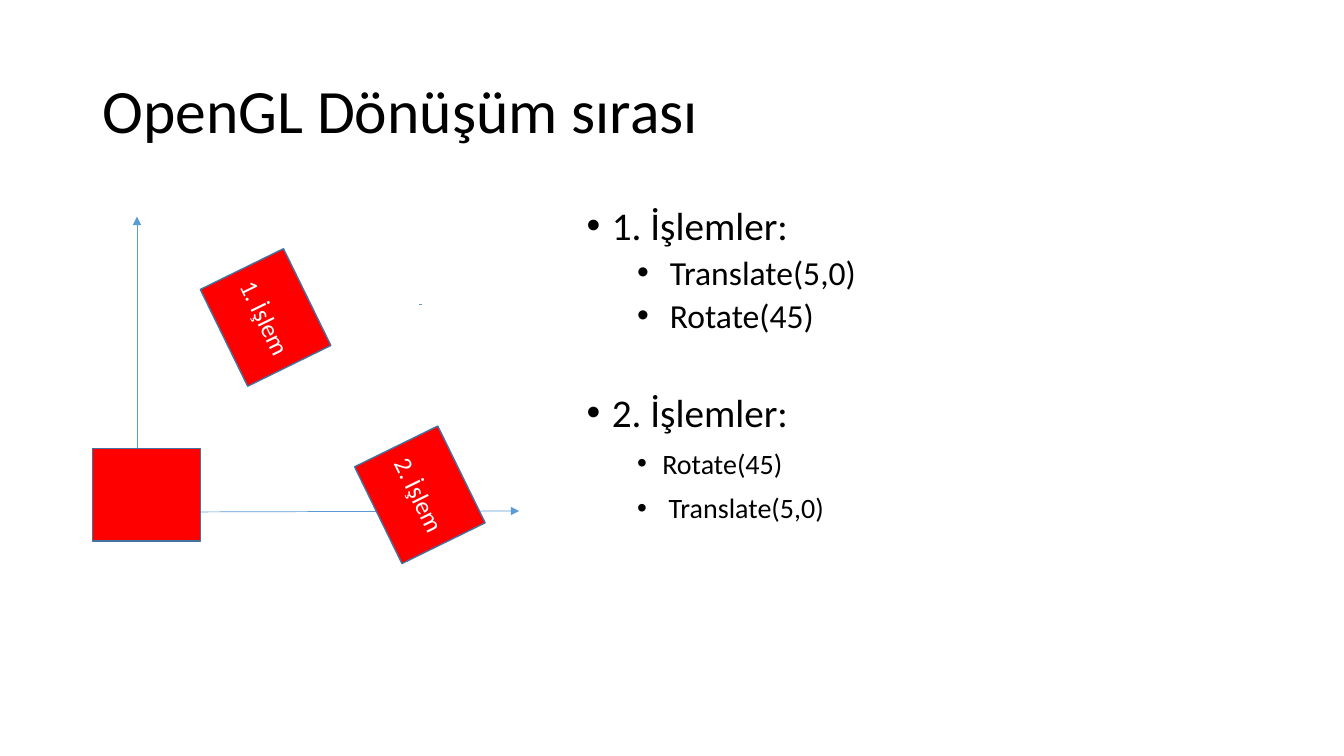
from lxml.etree import SubElement
from pptx import Presentation
from pptx.dml.color import RGBColor
from pptx.enum.dml import MSO_LINE
from pptx.enum.shapes import MSO_CONNECTOR, MSO_SHAPE
from pptx.enum.text import MSO_ANCHOR, MSO_AUTO_SIZE, PP_ALIGN
from pptx.oxml.ns import qn
from pptx.util import Pt


def color(value):
    return RGBColor.from_string(value)


def write(para, text, size, ink):
    span = para.add_run()
    span.text = text
    for name, value in {"name": "Calibri", "size": Pt(size)}.items():
        setattr(span.font, name, value)
    span.font.color.rgb = color(ink)


deck = Presentation()
deck.slide_width, deck.slide_height = Pt(960), Pt(540)
page = deck.slides.add_slide(deck.slide_layouts[1])
title, body = page.placeholders

# Placeholder positions
for box, place, anchor in (
    (title, (66, 28.8, 828, 104.4), MSO_ANCHOR.MIDDLE),
    (body, (411.84, 144, 482.4, 342.72), MSO_ANCHOR.TOP),
):
    for name, value in zip(("left", "top", "width", "height"), place):
        setattr(box, name, Pt(value))
    frame_format = {"word_wrap": True, "auto_size": MSO_AUTO_SIZE.NONE,
                    "vertical_anchor": anchor}
    for name, value in frame_format.items():
        setattr(box.text_frame, name, value)

# Title
para = title.text_frame.paragraphs[0]
para.alignment, para.line_spacing = PP_ALIGN.LEFT, 0.9
write(para, "OpenGL Dönüşüm sırası", 44, "000000")

# Operation lists: text, level, size, space before, left margin, hanging indent
items = [
    ("1. İşlemler:", 0, 28, 0, 18, 18),
    ("Translate(5,0)", 1, 24, 5, 59.4, 23.4),
    ("Rotate(45)", 1, 24, 5, 59.4, 23.4),
    ("2. İşlemler:", 0, 28, 41.4, 18, 18),
    ("Rotate(45)", 2, 20, 10, 54, 18),
    ("Translate(5,0)", 2, 20, 10, 58.5, 22.5),
]
for index, (text, level, size, before, margin, hanging) in enumerate(items):
    frame = body.text_frame
    para = frame.add_paragraph() if index else frame.paragraphs[0]
    properties = para._p.get_or_add_pPr()
    properties.set("marL", str(Pt(margin)))
    properties.set("indent", str(-Pt(hanging)))
    SubElement(properties, qn("a:buFont"), typeface="Arial")
    SubElement(properties, qn("a:buChar"), char="•")
    para_format = {"level": level, "line_spacing": 0.9,
                   "space_before": Pt(before), "alignment": PP_ALIGN.LEFT}
    for name, value in para_format.items():
        setattr(para, name, value)
    write(para, text, size, "000000")

# Axes and the dotted mark
for ends, width, dash, arrow in (
    ((97.9, 365.8, 370.8, 365), 0.5, None, True),
    ((97.9, 365, 97.9, 154.8), 0.5, None, True),
    ((300.2, 217.4, 300.2, 218.2), 2.25, MSO_LINE.ROUND_DOT, False),
):
    axis = page.shapes.add_connector(MSO_CONNECTOR.STRAIGHT, *map(Pt, ends))
    axis.line.color.rgb = color("5B9BD5")
    axis.line.width = Pt(width)
    axis.line.dash_style = dash
    if arrow:
        SubElement(axis.line._get_or_add_ln(), qn("a:tailEnd"), type="triangle")
    SubElement(axis._element.spPr, qn("a:effectLst"))

# Start square and its two results
for left, top, turn, label in (
    (66.2, 320.4, 0, ""),
    (261.4, 320.4, 63.9, "2. İşlem"),
    (151.2, 193.7, 63.9, "1. İşlem"),
):
    square = page.shapes.add_shape(
        MSO_SHAPE.RECTANGLE, Pt(left), Pt(top), Pt(77), Pt(66.2))
    square.rotation = turn
    square.shadow.inherit = False
    square.fill.solid()
    square.fill.fore_color.rgb = color("FF0000")
    square.line.color.rgb = color("43739E")
    square.line.width = Pt(1)
    if label:
        square.text_frame.vertical_anchor = MSO_ANCHOR.MIDDLE
        para = square.text_frame.paragraphs[0]
        para.alignment = PP_ALIGN.CENTER
        write(para, label, 18, "FFFFFF")

deck.save("out.pptx")
